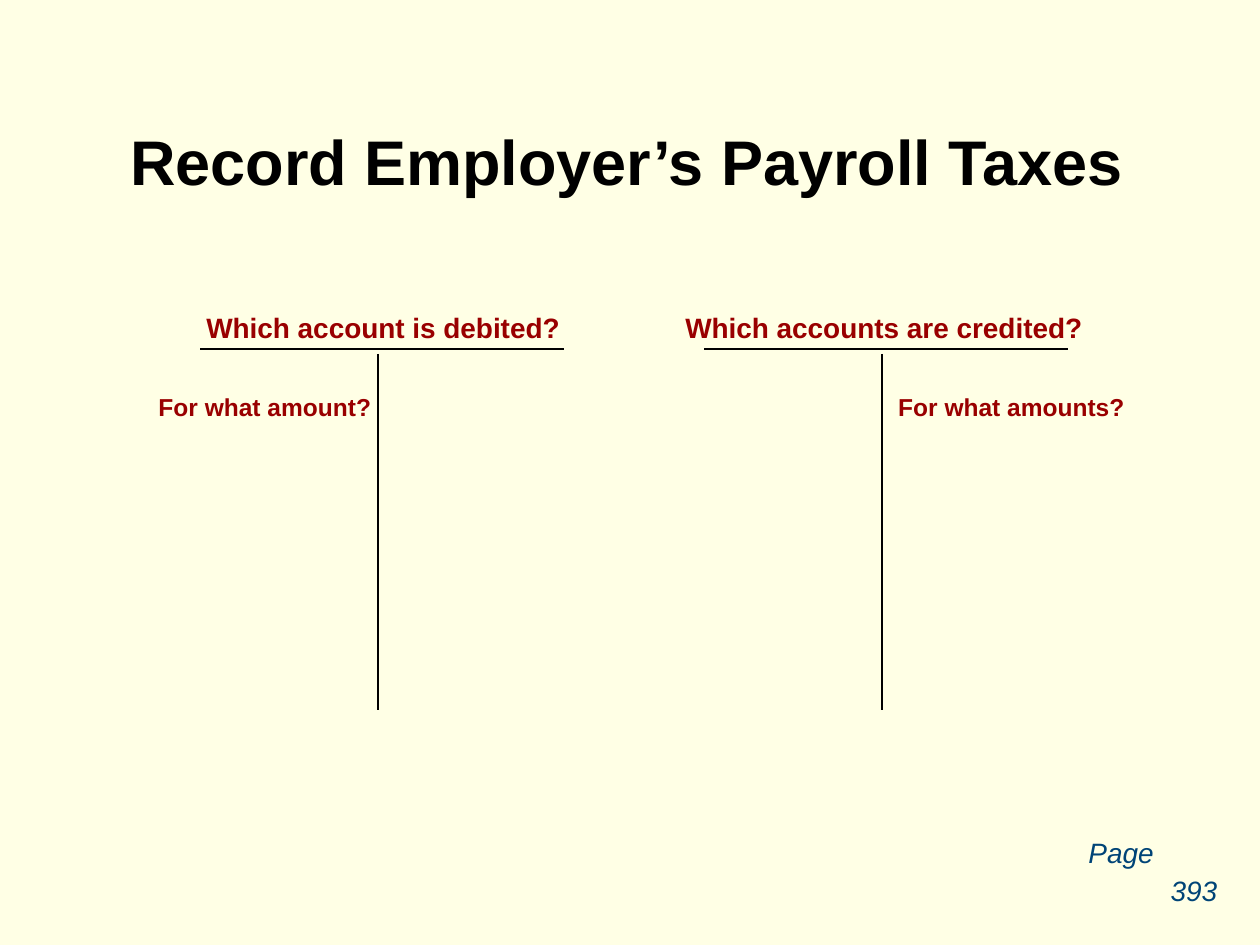
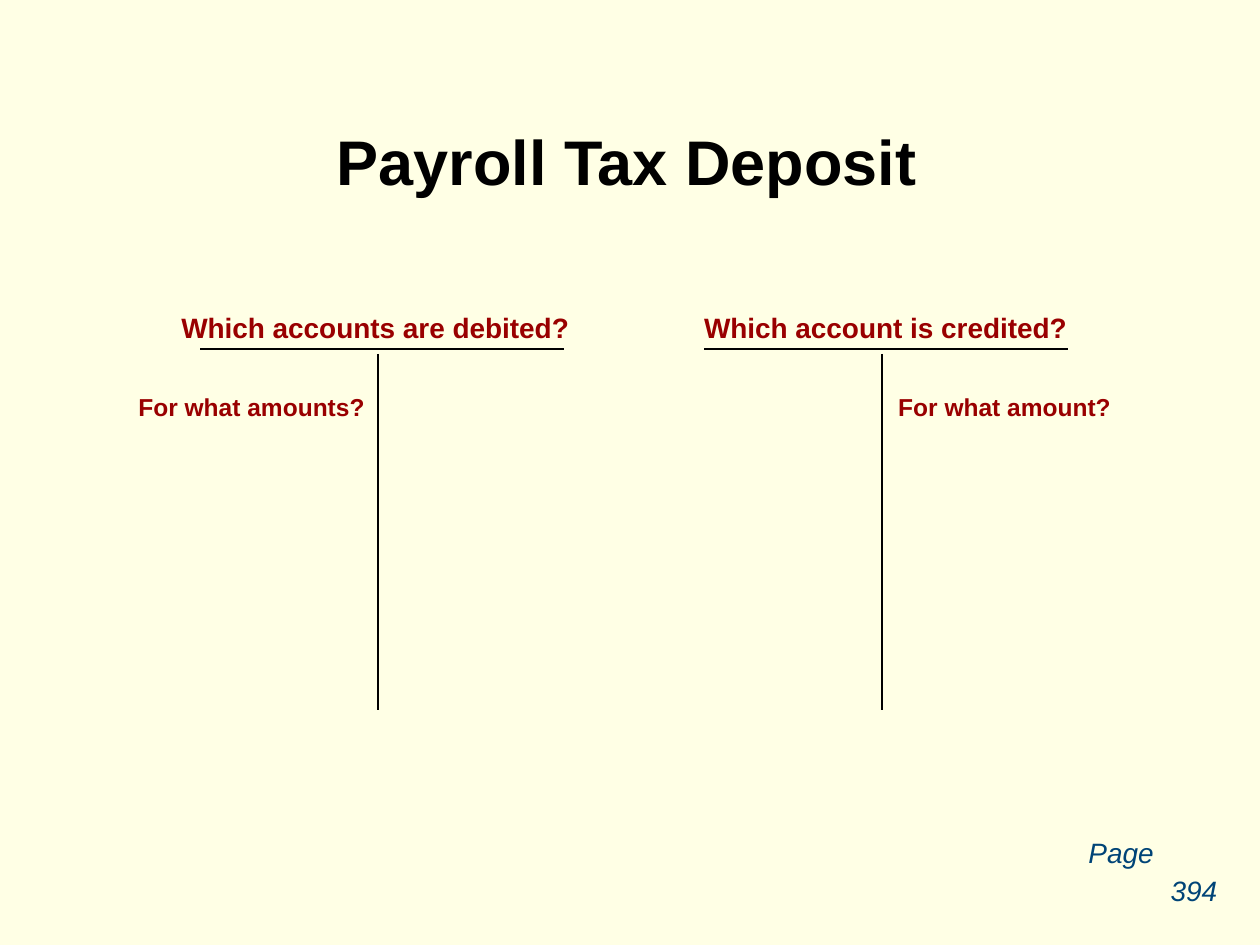
from dataclasses import dataclass

import pptx
import pptx.dml.color
import pptx.enum.shapes
import pptx.enum.text
import pptx.oxml.ns
import pptx.presentation
import pptx.slide
import pptx.util
from lxml import etree

Pt = pptx.util.Pt
RGBColor = pptx.dml.color.RGBColor
Align = pptx.enum.text.PP_ALIGN


@dataclass(frozen=True)
class TextStyle:
    size: float
    color: RGBColor
    bold: bool = False
    italic: bool = False
    align: Align = Align.LEFT


@dataclass(frozen=True)
class Theme:
    font: str = "Arial"
    background: RGBColor = RGBColor(0xFF, 0xFF, 0xE5)
    line: RGBColor = RGBColor(0, 0, 0)
    line_width: float = 0.75
    title: TextStyle = TextStyle(36, RGBColor(0, 0, 0), bold=True, align=Align.CENTER)
    heading: TextStyle = TextStyle(16, RGBColor(0x99, 0, 0), bold=True)
    amount: TextStyle = TextStyle(14, RGBColor(0x99, 0, 0), bold=True)
    page: TextStyle = TextStyle(16, RGBColor(0, 0x44, 0x77), italic=True)
    page_number: TextStyle = TextStyle(16, RGBColor(0, 0x44, 0x77), italic=True, align=Align.CENTER)


@dataclass(frozen=True)
class Label:
    text: str
    left: float
    width: float


@dataclass(frozen=True)
class Account:
    stem: float
    heading: Label
    amount: Label


@dataclass(frozen=True)
class AccountSlide:
    title: str
    page: str
    accounts: tuple[Account, ...]


THEME = Theme()
DEBIT_STEM, CREDIT_STEM = 216, 504
BAR_TOP, BAR_LEFT_REACH, BAR_RIGHT_REACH = 199.5, 101.5, 106.5
STEM_TOP, STEM_BOTTOM = 202.3, 406
HEADING_TOP, AMOUNT_TOP = 174.2, 220.3
PAGE_TOP, PAGE_NUMBER_TOP = 473.8, 495.4

SLIDES = (
    AccountSlide("Record Employer’s Payroll Taxes", "393", (
        Account(DEBIT_STEM, Label("Which account is debited?", 110.8, 216.7),
                Label("For what amount?", 83.5, 136)),
        Account(CREDIT_STEM, Label("Which accounts are credited?", 384.5, 241.2),
                Label("For what amounts?", 506.2, 144)),
    )),
    AccountSlide("Payroll Tax Deposit", "394", (
        Account(DEBIT_STEM, Label("Which accounts are debited?", 96.5, 236.2),
                Label("For what amounts?", 72, 144)),
        Account(CREDIT_STEM, Label("Which account is credited?", 395.2, 221.8),
                Label("For what amount?", 506.2, 136)),
    )),
)


def write_text(shape, text: str, style: TextStyle) -> None:
    shape.text_frame.text = text
    paragraph = shape.text_frame.paragraphs[0]
    paragraph.alignment = style.align
    font = paragraph.runs[0].font
    font.name = THEME.font
    font.size = Pt(style.size)
    font.bold = style.bold
    font.italic = style.italic
    font.color.rgb = style.color


def add_label(shapes, label: Label, top: float, style: TextStyle) -> None:
    box = shapes.add_textbox(Pt(label.left), Pt(top), Pt(label.width), Pt(style.size * 1.2 + 7.4))
    box.text_frame.word_wrap = False
    box.text_frame.auto_size = pptx.enum.text.MSO_AUTO_SIZE.SHAPE_TO_FIT_TEXT
    write_text(box, label.text, style)


def add_line(shapes, left: float, top: float, right: float, bottom: float) -> None:
    line = shapes.add_connector(
        pptx.enum.shapes.MSO_CONNECTOR.STRAIGHT, Pt(left), Pt(top), Pt(right), Pt(bottom))
    line.line.color.rgb = THEME.line
    line.line.width = Pt(THEME.line_width)
    properties = line._element.find(pptx.oxml.ns.qn("p:spPr"))
    etree.SubElement(properties, pptx.oxml.ns.qn("a:effectLst"))


def add_account(slide: pptx.slide.Slide, account: Account) -> None:
    frame = slide.shapes.add_group_shape().shapes
    add_line(frame, account.stem - BAR_LEFT_REACH, BAR_TOP, account.stem + BAR_RIGHT_REACH, BAR_TOP)
    add_line(frame, account.stem, STEM_TOP, account.stem, STEM_BOTTOM)
    add_label(slide.shapes, account.heading, HEADING_TOP, THEME.heading)
    add_label(slide.shapes, account.amount, AMOUNT_TOP, THEME.amount)


def add_title(slide: pptx.slide.Slide, text: str) -> None:
    title = slide.shapes.title
    title.left, title.top, title.width, title.height = Pt(17.3), Pt(63.4), Pt(681.8), Pt(56.2)
    title.text_frame.auto_size = pptx.enum.text.MSO_AUTO_SIZE.NONE
    title.text_frame.vertical_anchor = pptx.enum.text.MSO_ANCHOR.MIDDLE
    write_text(title, text, THEME.title)


def add_page_reference(slide: pptx.slide.Slide, number: str) -> None:
    reference = slide.shapes.add_group_shape().shapes
    add_label(reference, Label("Page", 614.9, 51.8), PAGE_TOP, THEME.page)
    add_label(reference, Label(number, 661.7, 41), PAGE_NUMBER_TOP, THEME.page_number)


def add_account_slide(presentation: pptx.presentation.Presentation, content: AccountSlide) -> None:
    slide = presentation.slides.add_slide(presentation.slide_layouts.get_by_name("Title Only"))
    add_title(slide, content.title)
    for account in content.accounts:
        add_account(slide, account)
    add_page_reference(slide, content.page)


def main() -> None:
    presentation = pptx.Presentation()
    presentation.slide_width, presentation.slide_height = Pt(720), Pt(540)
    background = presentation.slide_master.background.fill
    background.solid()
    background.fore_color.rgb = THEME.background
    for content in SLIDES:
        add_account_slide(presentation, content)
    presentation.save("out.pptx")


if __name__ == "__main__":
    main()
